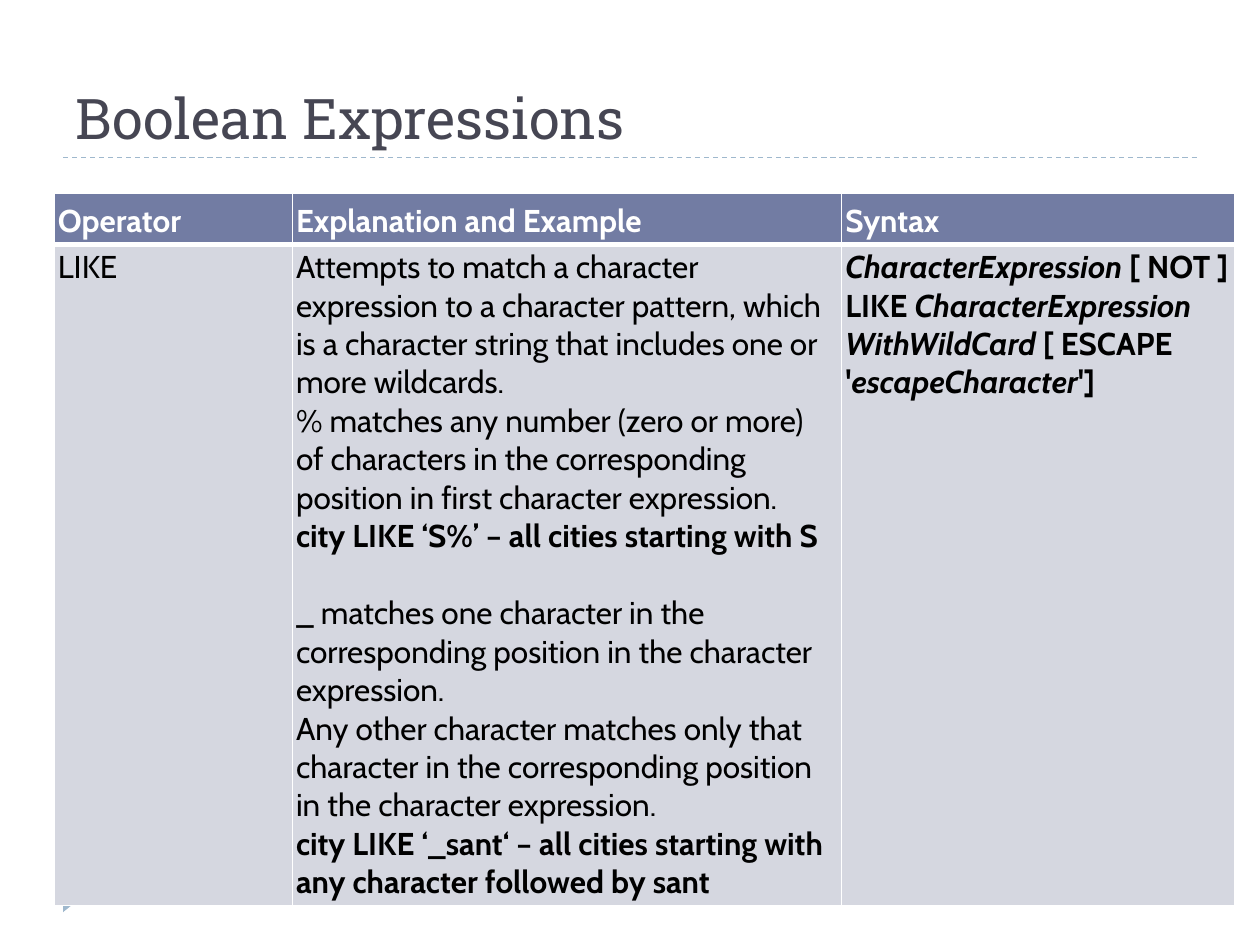
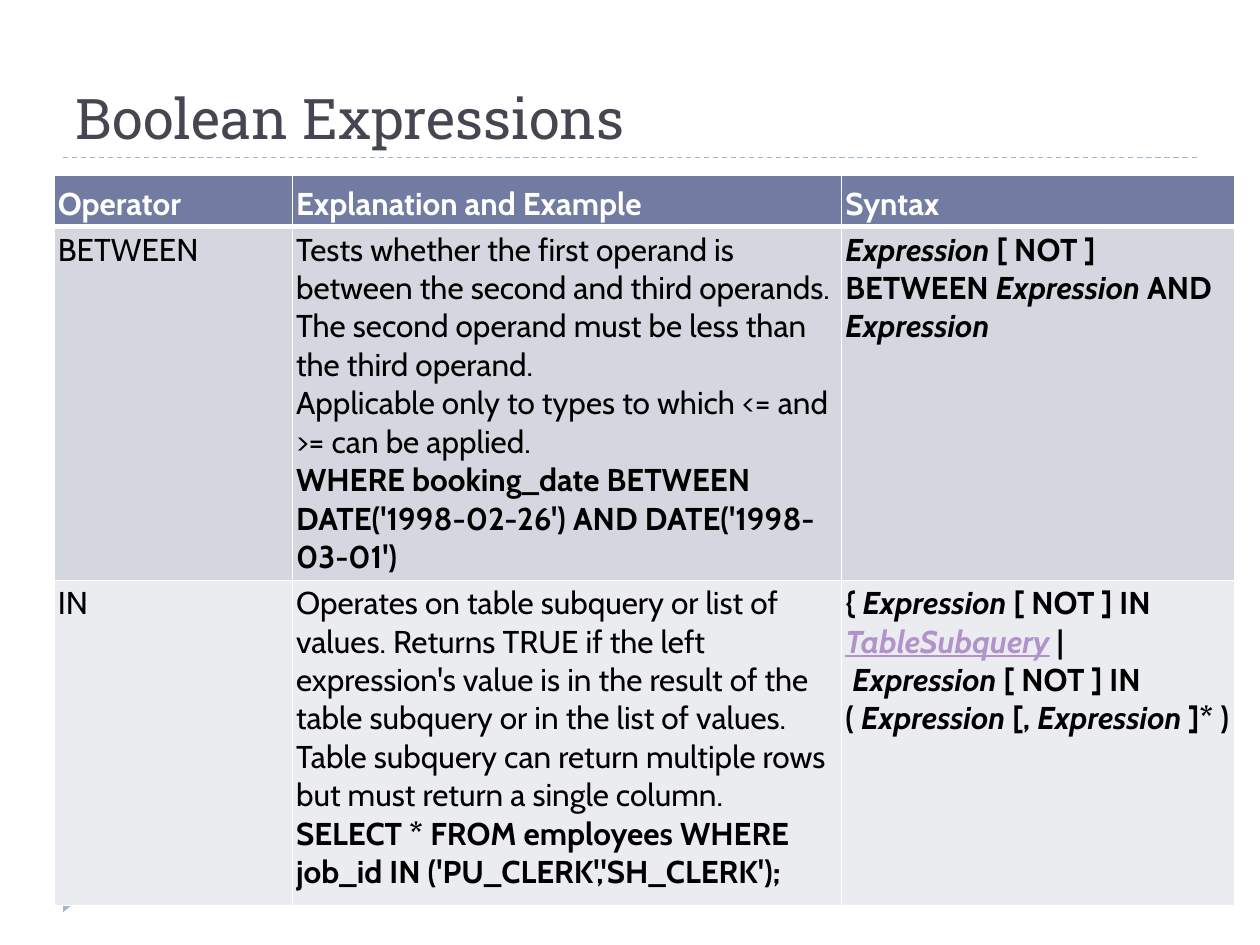
from lxml import etree
from pptx import Presentation
from pptx import util as u
from pptx.dml.color import RGBColor
from pptx.enum import dml, shapes, text
from pptx.oxml.ns import qn

# Shared look
WHITE = RGBColor(0xFF, 0xFF, 0xFF)
BLACK = RGBColor(0, 0, 0)
SLATE = RGBColor(0x46, 0x46, 0x53)
SKY = RGBColor(0x9F, 0xB8, 0xCD)
HEADER_FILL = RGBColor(0x72, 0x7C, 0xA3)
BAND_FILLS = (RGBColor(0xD5, 0xD7, 0xE0), RGBColor(0xEB, 0xEC, 0xF0))
LINK = RGBColor(0xB2, 0x92, 0xCA)
TITLE_FONT, BODY_FONT = "Roboto Slab", "Cabin"

TITLE = "Boolean Expressions"
HEADINGS = ("Operator", "Explanation and Example", "Syntax")
COLUMN_WIDTHS = (1.89, 4.36, 3.12)
HEADER_HEIGHT = 0.41
TABLE_LEFT = 0.43
CELL_MARGIN = u.Inches(0.03)
BLANK_LINE = 22  # points


def add_span(para, words, font=BODY_FONT, size=18, color=BLACK,
             bold=False, italic=False, underline=False):
    span = para.add_run()
    span.text = words
    span.font.name = font
    span.font.size = u.Pt(size)
    span.font.color.rgb = color
    span.font.bold = bold
    span.font.italic = italic
    span.font.underline = underline


def term(name, **style):
    """A bold italic placeholder name inside a syntax rule."""
    return name, dict(bold=True, italic=True, **style)


def strong(words):
    return words, dict(bold=True)


def add_rule(page, top):
    rule = page.shapes.add_connector(
        shapes.MSO_CONNECTOR.STRAIGHT,
        u.Inches(0.5), u.Inches(top), u.Inches(9.5), u.Inches(top))
    rule.line.color.rgb = SKY
    rule.line.width = u.Pt(0.75)
    rule.line.dash_style = dml.MSO_LINE.DASH
    etree.SubElement(rule._element.spPr, qn("a:effectLst"))


def add_corner_marker(page):
    marker = page.shapes.add_shape(
        shapes.MSO_SHAPE.ISOSCELES_TRIANGLE,
        u.Inches(0.46), u.Inches(7.07), u.Inches(0.21), u.Inches(0.13))
    marker.rotation = 90
    marker.shadow.inherit = False
    marker.fill.solid()
    marker.fill.fore_color.rgb = SKY
    marker.line.fill.background()


def add_page(deck):
    """A slide with the shared title, dashed rules and corner marker."""
    page = deck.slides.add_slide(deck.slide_layouts[5])
    add_rule(page, 6.95)
    add_rule(page, 1.25)
    add_corner_marker(page)
    title = page.shapes.title
    title.left, title.top = u.Inches(0.5), u.Inches(0.25)
    title.width, title.height = u.Inches(9), u.Inches(1)
    frame = title.text_frame
    frame.vertical_anchor = text.MSO_ANCHOR.BOTTOM
    para = frame.paragraphs[0]
    para.alignment = text.PP_ALIGN.LEFT
    add_span(para, TITLE, font=TITLE_FONT, size=32, color=SLATE)
    return page


def set_borders(cell, **widths):
    """White borders; widths in points by side: L, R, T, B."""
    properties = cell._tc.get_or_add_tcPr()
    for side in "LRTB":
        border = etree.SubElement(properties, qn("a:ln" + side),
                                  w=str(u.Pt(widths.get(side, 1))))
        fill = etree.SubElement(border, qn("a:solidFill"))
        etree.SubElement(fill, qn("a:srgbClr"), val=str(WHITE))


def fill_cell(cell, paragraphs, fill, anchor=text.MSO_ANCHOR.TOP):
    """Each paragraph is a list of (words, format) spans, after an optional gap."""
    cell.margin_left = cell.margin_right = CELL_MARGIN
    cell.margin_top = cell.margin_bottom = CELL_MARGIN
    cell.vertical_anchor = anchor
    cell.fill.solid()
    cell.fill.fore_color.rgb = fill
    frame = cell.text_frame
    for index, (gap, spans) in enumerate(paragraphs):
        para = frame.add_paragraph() if index else frame.paragraphs[0]
        if gap:
            para.space_before = u.Pt(gap)
        for words, style in spans:
            add_span(para, words, **style)


def line(*spans, gap=0):
    """One paragraph; bare strings become plain spans."""
    return gap, [(s, {}) if isinstance(s, str) else s for s in spans]


def add_operator_table(page, top, rows):
    """rows holds (height, operator, explanation, syntax)."""
    heights = [HEADER_HEIGHT] + [row[0] for row in rows]
    frame = page.shapes.add_table(
        len(heights), len(HEADINGS), u.Inches(TABLE_LEFT), u.Inches(top),
        u.Inches(sum(COLUMN_WIDTHS)), u.Inches(sum(heights)))
    table = frame.table
    for column, width in zip(table.columns, COLUMN_WIDTHS):
        column.width = u.Inches(width)
    for row, height in zip(table.rows, heights):
        row.height = u.Inches(height)

    for column, heading in enumerate(HEADINGS):
        cell = table.cell(0, column)
        set_borders(cell, B=3)
        fill_cell(cell, [line((heading, dict(bold=True, color=WHITE)))],
                  HEADER_FILL, text.MSO_ANCHOR.BOTTOM)
    for number, (_, operator, explanation, syntax) in enumerate(rows, 1):
        fill = BAND_FILLS[(number - 1) % 2]
        for column, content in enumerate(([line(operator)], explanation, syntax)):
            cell = table.cell(number, column)
            set_borders(cell, T=3 if number == 1 else 1)
            fill_cell(cell, content, fill)


# Table content
LIKE = (
    5.24, "LIKE",
    [line("Attempts to match a character expression to a character pattern, "
          "which is a character string that includes one or more wildcards."),
     line("% matches any number (zero or more) of characters in the "
          "corresponding position in first character expression."),
     line(strong("city LIKE ‘S%’ – all cities starting with S")),
     line("_ matches one character in the corresponding position in the "
          "character expression.", gap=BLANK_LINE),
     line("Any other character matches only that character in the "
          "corresponding position in the character expression."),
     line(strong("city LIKE ‘_sant‘ – all cities starting with any character "
                 "followed by sant"))],
    [line(term("CharacterExpression"), strong(" [ NOT ] LIKE "),
          term("CharacterExpression WithWildCard"), strong(" [ ESCAPE '"),
          term("escapeCharacter"), strong("']"))],
)
BETWEEN = (
    2.8, "BETWEEN",
    [line("Tests whether the first operand is between the second and third "
          "operands. The second operand must be less than the third operand."),
     line("Applicable only to types to which <= and >= can be applied."),
     line(strong("WHERE booking_date BETWEEN DATE('1998-02-26') AND "
                 "DATE('1998-03-01')"))],
    [line(term("Expression"), strong(" [ NOT ] BETWEEN "), term("Expression"),
          strong(" AND "), term("Expression"))],
)
IN = (
    2.58, "IN",
    [line("Operates on table subquery or list of values. Returns TRUE if the "
          "left expression's value is in the result of the table subquery or "
          "in the list of values. Table subquery can return multiple rows but "
          "must return a single column."),
     line(strong("SELECT * FROM employees WHERE job_id IN "
                 "('PU_CLERK','SH_CLERK');"))],
    [line(strong("{ "), term("Expression"), strong(" [ NOT ] IN "),
          term("TableSubquery", color=LINK, underline=True), strong(" |")),
     line(strong(" "), term("Expression"), strong(" [ NOT ] IN ( "),
          term("Expression"), strong(" [, "), term("Expression"),
          strong(" ]* )"))],
)


def main():
    deck = Presentation()
    deck.slide_width, deck.slide_height = u.Inches(10), u.Inches(7.5)
    add_operator_table(add_page(deck), 1.53, [LIKE])
    add_operator_table(add_page(deck), 1.39, [BETWEEN, IN])
    deck.save("out.pptx")


if __name__ == "__main__":
    main()
